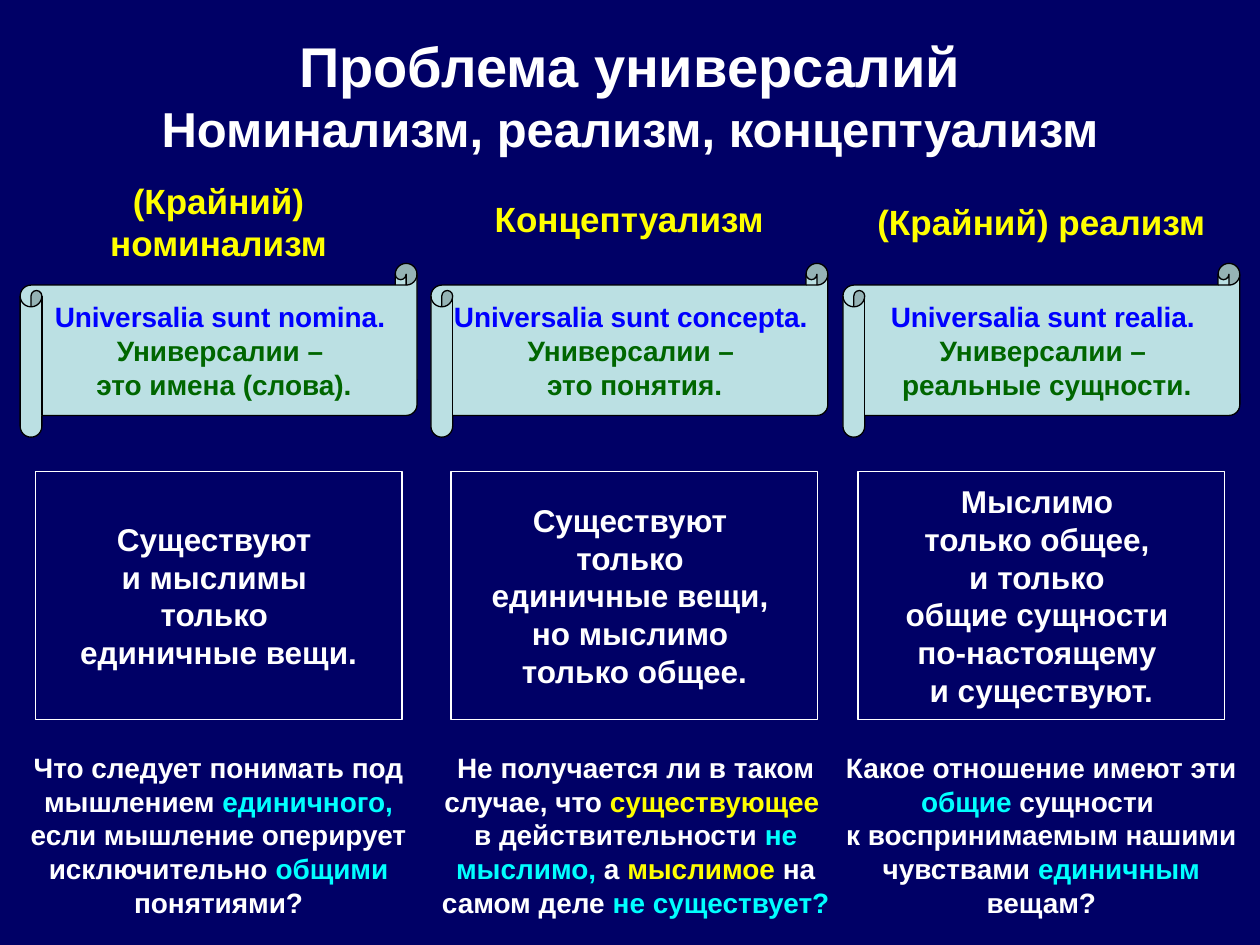
import copy
import pptx
import pptx.util
import pptx.dml.color
import pptx.enum.shapes
import pptx.enum.text

Inches = pptx.util.Inches
Shape = pptx.enum.shapes.MSO_SHAPE
Anchor = pptx.enum.text.MSO_ANCHOR

THEME = {
    "font": "Arial",
    "back": "000066", "white": "FFFFFF", "yellow": "FFFF00", "cyan": "00FFFF",
    "blue": "0000FF", "green": "006600", "paper": "BBE0E3", "black": "000000",
    "title": 32, "sub": 28, "head": 20, "thesis": 18, "small": 16, "line": 0.75,
}

TITLE = [("Проблема универсалий\n", "white", "title"),
         ("Номинализм, реализм, концептуализм", "white", "sub")]

VIEWS = [
    {"head": "(Крайний) номинализм",
     "latin": "Universalia sunt nomina. \n",
     "gloss": "Универсалии – \nэто имена (слова).",
     "thesis": "Существуют \nи мыслимы \nтолько \nединичные вещи.",
     "query": [("Что следует понимать под мышлением ", "white"),
               ("единичного, ", "cyan"),
               ("если мышление оперирует исключительно ", "white"),
               ("общими", "cyan"), (" понятиями?", "white")]},
    {"head": "Концептуализм",
     "latin": "Universalia sunt concepta. \n",
     "gloss": "Универсалии – \nэто понятия.",
     "thesis": "Существуют \nтолько \nединичные вещи, \nно мыслимо \nтолько общее.",
     "query": [("Не получается ли в таком случае, что ", "white"),
               ("существующее \n", "yellow"), ("в действительности ", "white"),
               ("не мыслимо,", "cyan"), (" а ", "white"), ("мыслимое", "yellow"),
               (" на самом деле ", "white"), ("не существует?", "cyan")]},
    {"head": "(Крайний) реализм",
     "latin": "Universalia sunt realia. \n",
     "gloss": "Универсалии – \nреальные сущности.",
     "thesis": "Мыслимо \nтолько общее, \nи только \nобщие сущности "
               "\nпо-настоящему \nи существуют.",
     "query": [("Какое отношение имеют эти ", "white"), ("общие", "cyan"),
               (" сущности \nк воспринимаемым нашими чувствами ", "white"),
               ("единичным", "cyan"), (" вещам?", "white")]},
]

ROWS = {
    "head": ((0.2, 3.46, 6.73), 1.5, 3.07, 0.51),
    "scroll": ((0.16, 3.42, 6.69), 2.09, 3.15, 1.38),
    "thesis": ((0.28, 3.58, 6.81), 3.74, 2.91, 1.97),
    "query": ((0.08, 3.39, 6.61), 5.91, 3.31, 1.38),
}


def rgb(name):
    return pptx.dml.color.RGBColor.from_string(THEME[name])


def place(row, col):
    lefts, top, width, height = ROWS[row]
    return [Inches(v) for v in (lefts[col], top, width, height)]


def write(shape, parts, anchor=Anchor.MIDDLE, wrap=True):
    frame = shape.text_frame
    frame.word_wrap = wrap
    frame.vertical_anchor = anchor
    para = frame.paragraphs[0]
    para.alignment = pptx.enum.text.PP_ALIGN.CENTER
    for text, color, size in parts:
        for i, line in enumerate(text.split("\n")):
            if i:
                para.add_line_break()
                para._p[-1].append(copy.deepcopy(run._r.rPr))
            if line:
                run = para.add_run()
                run.text = line
                run.font.name = THEME["font"]
                run.font.size = pptx.util.Pt(THEME[size])
                run.font.bold = True
                run.font.color.rgb = rgb(color)
    return para


def draw(slide, kind, spot, line, fill=None):
    shape = slide.shapes.add_shape(kind, *spot)
    shape.shadow.inherit = False
    if fill:
        shape.fill.solid()
        shape.fill.fore_color.rgb = rgb(fill)
    else:
        shape.fill.background()
    shape.line.color.rgb = rgb(line)
    shape.line.width = pptx.util.Pt(THEME["line"])
    return shape


def main():
    deck = pptx.Presentation()
    deck.slide_width, deck.slide_height = Inches(10), Inches(7.5)
    slide = deck.slides.add_slide(deck.slide_layouts[6])
    slide.background.fill.solid()
    slide.background.fill.fore_color.rgb = rgb("back")
    label = slide.shapes.add_textbox

    write(label(Inches(0.5), Inches(0.26), Inches(9), Inches(0.98)), TITLE)

    for col, view in enumerate(VIEWS):
        middle = col == 1
        para = write(label(*place("head", col)),
                     [(view["head"], "yellow", "head")], wrap=False)
        scroll = draw(slide, Shape.HORIZONTAL_SCROLL, place("scroll", col),
                      "black", "paper")
        write(scroll, [(view["latin"], "blue", "small"),
                       (view["gloss"], "green", "small")])
        if middle:
            para.line_spacing = 0.9
            scroll.text_frame.margin_left = scroll.text_frame.margin_right = 0
        box = draw(slide, Shape.RECTANGLE, place("thesis", col), "white")
        write(box, [(view["thesis"], "white", "thesis")])
        write(label(*place("query", col)),
              [(text, color, "small") for text, color in view["query"]],
              Anchor.TOP)

    deck.save("out.pptx")


if __name__ == "__main__":
    main()
